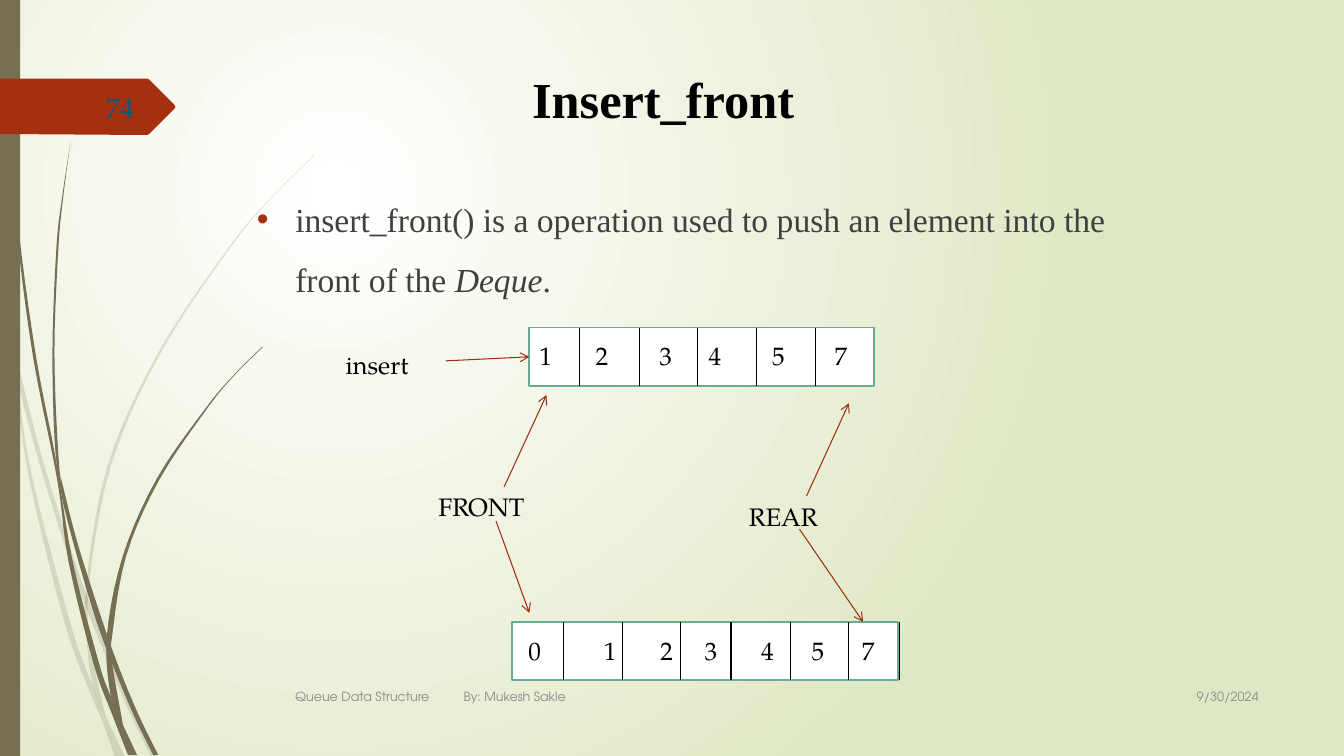
from lxml import etree
from pptx import Presentation
from pptx import util as u
from pptx.dml import color
from pptx.enum import shapes, text
from pptx.oxml import ns

PX = 9144  # one hundredth of an inch
SERIF, BOOK, SANS = "Times New Roman", "TeX Gyre Pagella", "TeX Gyre Adventor"
BLACK, BARK, RUST, ARROW = "000000", "766F54", "A53010", "9E2E0F"
GREY, TEAL = "8C8C8C", "6AAC91"
CELL_HEIGHT = 58

# Each stem: left edge from tip to root, then right edge from tip to root
PALE_STEMS = [
    ([(0, 282), (0, 299), (11, 350), (28, 470), (65, 621), (92, 693), (101, 714), (114, 751)],
     [(0, 282), (9, 322), (17, 376), (31, 469), (70, 619), (93, 683), (105, 711), (124, 751)]),
    ([(14, 345), (17, 376), (36, 449), (58, 522), (84, 599), (123, 694), (150, 751)],
     [(14, 345), (36, 433), (62, 520), (92, 607), (127, 692), (155, 751)]),
    ([(312, 153), (268, 197), (228, 244), (158, 348), (107, 461), (85, 584), (87, 646),
      (93, 683), (105, 711)],
     [(312, 154), (268, 198), (229, 245), (160, 349), (110, 462), (88, 584), (91, 646),
      (105, 711)]),
]
DARK_STEMS = [
    ([(3, 0), (4, 48), (7, 110), (17, 233), (33, 355), (57, 477), (68, 557), (93, 659),
      (111, 708), (127, 749)],
     [(4, 0), (5, 48), (8, 109), (19, 232), (36, 355), (55, 453), (72, 556), (98, 657),
      (110, 691), (122, 719), (136, 749)]),
    ([(60, 472), (64, 505), (88, 592), (106, 645), (132, 708), (152, 749)],
     [(60, 472), (75, 532), (93, 590), (113, 649), (136, 706), (157, 749)]),
    ([(70, 141), (62, 193), (56, 245), (52, 349), (55, 449), (64, 505)],
     [(70, 141), (63, 193), (58, 245), (54, 349), (58, 453), (64, 505)]),
    ([(260, 344), (231, 373), (204, 405), (156, 474), (122, 551), (106, 631), (110, 691),
      (122, 719)],
     [(261, 344), (231, 374), (205, 406), (158, 476), (125, 552), (111, 633), (111, 656),
      (122, 719)]),
]
BANNER = [(0, 78), (146, 78), (148, 79), (173, 104), (174, 106), (173, 108),
          (148, 133), (146, 134), (0, 133)]


def px(*lengths):
    return [u.Emu(round(length * PX)) for length in lengths]


def rgb(value):
    return color.RGBColor.from_string(value)


def add_xml(parent, tag, **attributes):
    return etree.SubElement(parent, ns.qn(tag), attributes)


def paint(shape, fill, line=None):
    shape.shadow.inherit = False
    shape.fill.solid()
    shape.fill.fore_color.rgb = rgb(fill)
    if line:
        shape.line.color.rgb = rgb(line)
        shape.line.width = u.Pt(1.25)
    else:
        shape.line.fill.background()


def set_background(slide):
    fill = slide.background.fill
    fill.gradient()
    for stop, value in zip(fill.gradient_stops, ("FFFFFF", "DFE8C4")):
        stop.color.rgb = rgb(value)
    gradient = slide.element.xpath(".//p:bg//a:gradFill")[0]
    for linear in gradient.findall(ns.qn("a:lin")):
        gradient.remove(linear)
    circle = add_xml(gradient, "a:path", path="circle")
    add_xml(circle, "a:fillToRect", l="50000", t="50000", r="100000", b="100000")


def smooth(points, steps=5):
    """Points along a Catmull-Rom curve through the given points."""
    padded = [points[0], *points, points[-1]]
    curve = []
    for a, b, c, d in zip(padded, padded[1:], padded[2:], padded[3:]):
        for step in range(steps):
            t = step / steps
            curve.append(tuple(
                q + t * ((r - p) + t * ((2 * p - 5 * q + 4 * r - s)
                                        + t * (3 * q - p - 3 * r + s))) / 2
                for p, q, r, s in zip(a, b, c, d)))
    return curve + [points[-1]]


def add_outline(slide, points, fill, opacity=None):
    start, *others = [px(*point) for point in points]
    builder = slide.shapes.build_freeform(*start)
    builder.add_line_segments(others, close=True)
    shape = builder.convert_to_shape()
    paint(shape, fill)
    if opacity:
        tint = shape.element.spPr.find(ns.qn("a:solidFill"))[0]
        add_xml(tint, "a:alpha", val=str(opacity * 1000))


def add_stems(slide, stems, opacity=None):
    for left, right in stems:
        add_outline(slide, smooth(left) + smooth(right)[::-1], BARK, opacity)


def add_rectangle(slide, box, fill, line=None):
    shape = slide.shapes.add_shape(shapes.MSO_SHAPE.RECTANGLE, *px(*box))
    paint(shape, fill, line)


def add_line(slide, start, end, value=BLACK, arrow=False):
    line = slide.shapes.add_connector(shapes.MSO_CONNECTOR.STRAIGHT, *px(*start, *end))
    line.line.color.rgb = rgb(value)
    line.line.width = u.Pt(0.75)
    if arrow:
        add_xml(line.line._get_or_add_ln(), "a:tailEnd", type="arrow")
    add_xml(line.element.spPr, "a:effectLst")


def set_font(paragraph, name, size, value, bold=None):
    font = paragraph.font
    font.name, font.size, font.bold = name, u.Pt(size), bold
    font.color.rgb = rgb(value)


def add_label(slide, box, words, name=BOOK, size=18, value=BLACK, align=None,
              middle=False, inset=10, tabs=()):
    shape = slide.shapes.add_textbox(*px(*box))
    frame = shape.text_frame
    frame.word_wrap = True
    frame.margin_left, = px(inset)
    if middle:
        frame.vertical_anchor = text.MSO_ANCHOR.MIDDLE
    paragraph = frame.paragraphs[0]
    paragraph.text = words
    paragraph.alignment = align
    if tabs:
        stops = add_xml(paragraph._p.get_or_add_pPr(), "a:tabLst")
        for tab in tabs:
            add_xml(stops, "a:tab", pos=str(tab * PX), algn="l")
    set_font(paragraph, name, size, value)


def add_deque(slide, box, dividers, values, inset, tabs):
    left, top, width, height = box
    add_rectangle(slide, box, "FFFFFF", TEAL)
    for x in dividers:
        add_line(slide, (x, top), (x, top + height))
    add_label(slide, (left, top + 8, width, 40), "\t".join(values), inset=inset, tabs=tabs)


def add_title(slide):
    title = slide.shapes.title
    title.left, title.top, title.width, title.height = px(214, 63, 900, 86)
    frame = title.text_frame
    frame.text = "Insert_front "
    frame.auto_size = text.MSO_AUTO_SIZE.NONE
    frame.vertical_anchor = text.MSO_ANCHOR.TOP
    frame.paragraphs[0].alignment = text.PP_ALIGN.CENTER
    set_font(frame.paragraphs[0], SERIF, 36, BLACK, bold=True)


def add_body(slide):
    frame = slide.shapes.add_textbox(*px(245, 172, 875, 525)).text_frame
    frame.word_wrap = True
    paragraph = frame.paragraphs[0]
    paragraph.line_spacing = 1.5
    properties = paragraph._p.get_or_add_pPr()
    properties.set("marL", str(38 * PX))
    properties.set("indent", str(-38 * PX))
    add_xml(add_xml(properties, "a:buClr"), "a:srgbClr", val=RUST)
    add_xml(properties, "a:buFont", typeface="Arial")
    add_xml(properties, "a:buChar", char="•")
    set_font(paragraph, SERIF, 24, "404040")
    for words, italic in (
            ("insert_front() is a operation used to push an element into the front of the ", False),
            ("Deque", True), (".", False)):
        run = paragraph.add_run()
        run.text = words
        run.font.italic = italic


def main():
    presentation = Presentation()
    presentation.slide_width, presentation.slide_height = px(1333, 750)
    slide = presentation.slides.add_slide(presentation.slide_layouts[5])

    # Backdrop
    set_background(slide)
    add_stems(slide, PALE_STEMS, opacity=20)
    add_stems(slide, DARK_STEMS)
    add_rectangle(slide, (0, 0, 20, 750), BARK)
    add_outline(slide, BANNER, RUST)

    add_title(slide)
    add_body(slide)

    # Deques before and after the insertion
    add_deque(slide, (525, 325, 342, CELL_HEIGHT), (575, 634, 692, 750, 809),
              "123457", 10, (56, 119, 168, 231, 293))
    add_deque(slide, (508, 617, 383, CELL_HEIGHT), (559, 617, 675, 725, 784, 842, 892),
              "0123457", 16, (75, 131, 175, 231, 281, 331))

    # Pointers
    for words, box in (("FRONT", (425, 483, 150, 40)), ("REAR", (733, 492, 167, 40)),
                       ("insert", (333, 342, 125, 40))):
        add_label(slide, box, words)
    for start, end in (((500, 483), (542, 392)), ((800, 492), (842, 400)),
                       ((442, 358), (525, 354)), ((492, 517), (525, 608)),
                       ((793, 525), (856, 617))):
        add_line(slide, start, end, ARROW, arrow=True)

    # Footer and page number
    right = text.PP_ALIGN.RIGHT
    add_label(slide, (1133, 670, 125, 41), "9/30/2024", SANS, 9, GREY, right, middle=True)
    add_label(slide, (58, 86, 85, 40), "74", BOOK, 20, "045C75", right, middle=True)
    add_label(slide, (283, 671, 833, 40), "Queue Data Structure\tBy: Mukesh Sakle",
              SANS, 9, GREY, middle=True, tabs=(167,))

    presentation.save("out.pptx")


if __name__ == "__main__":
    main()
